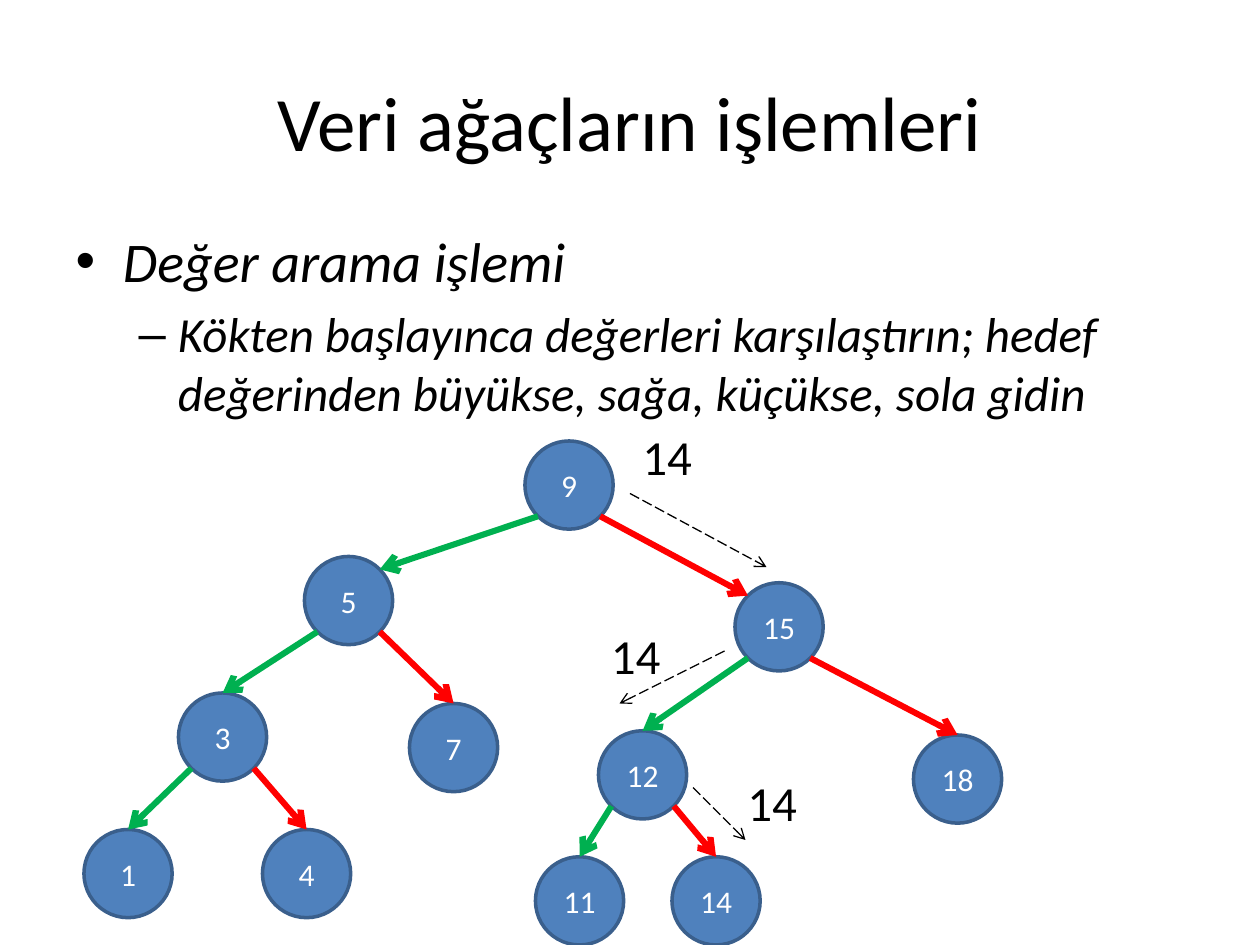
from math import sqrt

from lxml import etree
from pptx import Presentation
from pptx import util as u
from pptx.dml.color import RGBColor
from pptx.enum import dml, shapes, text
from pptx.oxml import ns

CELL = u.Inches(1) / 12
DIAMETER = 8.4
RIM = DIAMETER / 2 / sqrt(2)
GREEN, RED, BLACK = "00B050", "FF0000", "000000"

NODES = {9: (50, 42), 5: (29, 53), 3: (17, 66), 15: (70, 55.5), 18: (87, 70),
         12: (57, 69.6), 7: (39, 67), 4: (25, 79), 1: (8, 79),
         14: (64, 81.6), 11: (51, 81.6)}
CHILDREN = {9: (5, 15), 5: (3, 7), 15: (12, 18), 3: (1, 4), 12: (11, 14)}
SEARCH_STEPS = [((60, 47), (73, 54)), ((66, 75), (71, 80)), ((69, 62), (59, 67))]
TARGET_LABELS = [(60, 40, 15), (57, 59, 15), (70, 73, 9)]


def grid(*cells):
    """Convert grid columns and rows to slide lengths."""
    return [u.Emu(round(cell * CELL)) for cell in cells]


def color(hex_value):
    """Return the colour for a hex string."""
    return RGBColor.from_string(hex_value)


def apply(target, formats):
    """Set each named format value on the target."""
    for name, value in formats.items():
        setattr(target, name, value)


def format_font(paragraph, size, hex_value, **formats):
    """Set the type of a paragraph."""
    apply(paragraph.font, dict(name="Calibri", size=u.Pt(size), **formats))
    paragraph.font.color.rgb = color(hex_value)


def fill_placeholder(placeholder, box, lines, **formats):
    """Place a template placeholder and write its (text, level, size) lines."""
    apply(placeholder, dict(zip(("left", "top", "width", "height"), grid(*box))))
    frame = placeholder.text_frame
    frame.text = "\n".join(line for line, _, _ in lines)
    for paragraph, (_, level, size) in zip(frame.paragraphs, lines):
        paragraph.level = level
        format_font(paragraph, size, BLACK, **formats)


def add_node(slide, value, column, row):
    """Draw one numbered tree node."""
    node = slide.shapes.add_shape(shapes.MSO_SHAPE.FLOWCHART_CONNECTOR,
                                  *grid(column, row, DIAMETER, DIAMETER))
    node.shadow.inherit = False
    node.fill.solid()
    node.fill.fore_color.rgb = color("4F81BD")
    node.line.color.rgb = color("3A5F8C")
    node.line.width = u.Pt(2)
    frame = node.text_frame
    frame.text = str(value)
    frame.vertical_anchor = text.MSO_ANCHOR.MIDDLE
    frame.paragraphs[0].alignment = text.PP_ALIGN.CENTER
    format_font(frame.paragraphs[0], 18, "FFFFFF")
    return node


def add_arrow(slide, start, end, hex_value, width, dash=None):
    """Draw a straight open-headed arrow between two grid points."""
    arrow = slide.shapes.add_connector(shapes.MSO_CONNECTOR.STRAIGHT,
                                       *grid(*start, *end))
    arrow.line.color.rgb = color(hex_value)
    apply(arrow.line, {"width": u.Pt(width), "dash_style": dash})
    etree.SubElement(arrow.line._get_or_add_ln(), ns.qn("a:tailEnd"), type="arrow")
    etree.SubElement(arrow._element.spPr, ns.qn("a:effectLst"))
    return arrow


def add_branch(slide, nodes, parent, child, side, hex_value):
    """Link a parent's lower rim to its child, side -1 left and 1 right."""
    middle = DIAMETER / 2
    (px, py), (cx, cy) = NODES[parent], NODES[child]
    start = px + middle + side * RIM, py + middle + RIM
    if parent == 9:
        end = cx + middle - side * RIM, cy + middle - RIM
        add_arrow(slide, start, end, hex_value, 3.5)
    else:
        branch = add_arrow(slide, start, (cx + middle, cy), hex_value, 3.5)
        branch.end_connect(nodes[child], 0)


def add_target_label(slide, column, row, width):
    """Write the searched value beside a search step."""
    label = slide.shapes.add_textbox(*grid(column, row, width, 7))
    frame = label.text_frame
    apply(frame, {"word_wrap": True, "auto_size": text.MSO_AUTO_SIZE.SHAPE_TO_FIT_TEXT})
    frame.text = "14"
    format_font(frame.paragraphs[0], 28, BLACK)


def main():
    """Build the tree search slide."""
    deck = Presentation()
    deck.slide_width, deck.slide_height = grid(120, 90)
    slide = deck.slides.add_slide(deck.slide_layouts[1])
    title, body = slide.placeholders
    fill_placeholder(title, (6, 4, 108, 15), [("Veri ağaçların işlemleri", 0, 44)])
    fill_placeholder(body, (6, 21, 108, 26), [
        ("Değer arama işlemi", 0, 32),
        ("Kökten başlayınca değerleri karşılaştırın; hedef "
         "değerinden büyükse, sağa, küçükse, sola gidin", 1, 28)], italic=True)

    nodes = {value: add_node(slide, value, *place) for value, place in NODES.items()}
    for parent, (smaller, larger) in CHILDREN.items():
        add_branch(slide, nodes, parent, smaller, -1, GREEN)
        add_branch(slide, nodes, parent, larger, 1, RED)
    for start, end in SEARCH_STEPS:
        add_arrow(slide, start, end, BLACK, 0.75, dml.MSO_LINE.LONG_DASH)
    for place in TARGET_LABELS:
        add_target_label(slide, *place)
    deck.save("out.pptx")


if __name__ == "__main__":
    main()
